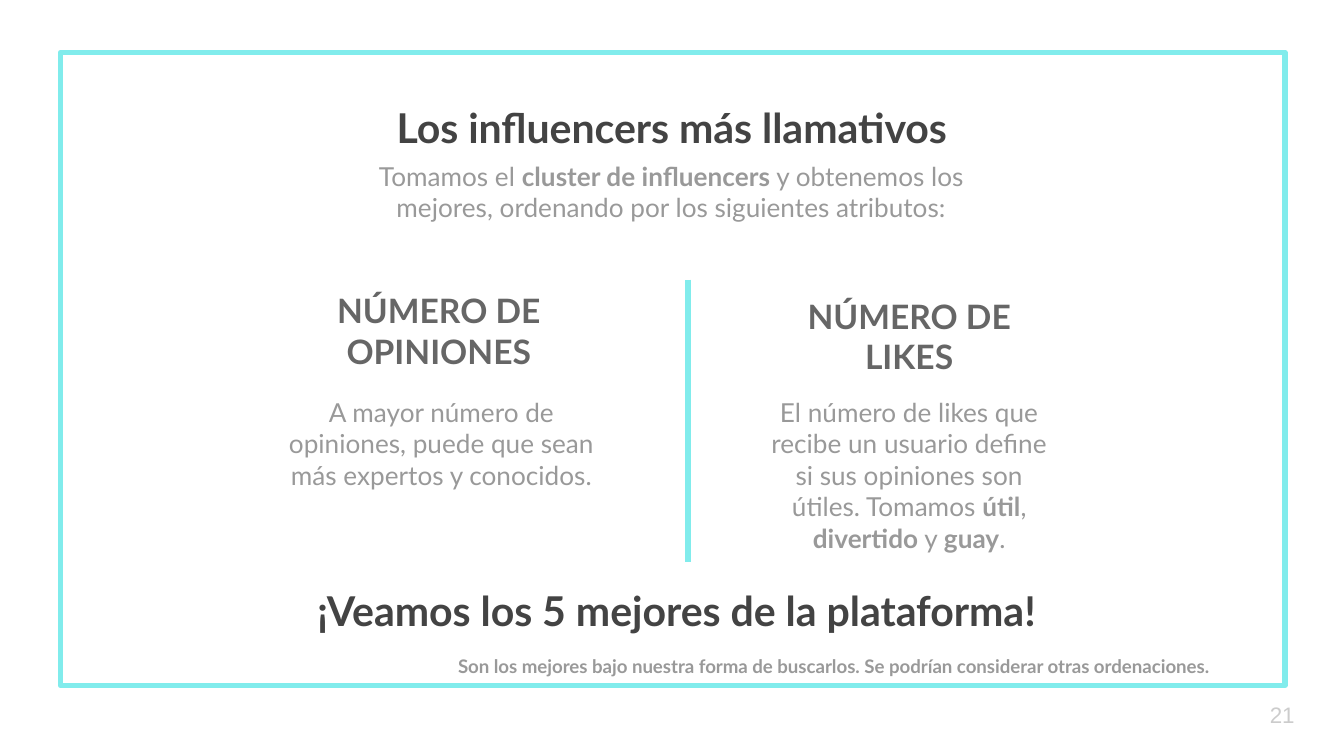
from dataclasses import dataclass

import pptx
import pptx.dml.color
import pptx.enum.shapes
import pptx.enum.text
import pptx.oxml.ns
import pptx.util
from lxml import etree
from pptx.util import Inches

ALIGN = pptx.enum.text.PP_ALIGN
ANCHOR = pptx.enum.text.MSO_ANCHOR


@dataclass(frozen=True)
class Style:
    size: int
    color: str
    bold: bool = False
    font: str = "Lato"


@dataclass(frozen=True)
class Theme:
    accent: str = "81ECEC"
    line_width: float = 3
    inset: float = 0.1
    title: Style = Style(22, "434343", True)
    heading: Style = Style(18, "666666", True)
    body: Style = Style(14, "999999")
    note: Style = Style(10, "999999", True)
    number: Style = Style(12, "CCCCCC", font="Arial")


@dataclass(frozen=True)
class Span:
    text: str
    bold: bool = False


@dataclass(frozen=True)
class TextBlock:
    left: float
    top: float
    width: float
    height: float
    style: Style
    spans: tuple[Span, ...]
    align: ALIGN = ALIGN.CENTER
    anchor: ANCHOR = ANCHOR.TOP
    line_spacing: float = 1.0


THEME = Theme()

BLOCKS = (
    TextBlock(1.22, 0.66, 7.56, 0.53, THEME.title,
              (Span("Los influencers más llamativos"),)),
    TextBlock(2.34, 1.09, 5.31, 0.71, THEME.body,
              (Span("Tomamos el "), Span("cluster de influencers", True),
               Span(" y obtenemos los mejores, ordenando por los siguientes atributos:"))),
    TextBlock(2.11, 2.15, 2.31, 0.71, THEME.heading,
              (Span("NÚMERO DE OPINIONES"),), anchor=ANCHOR.BOTTOM),
    TextBlock(2.01, 2.85, 2.55, 1.62, THEME.body,
              (Span("A mayor número de opiniones, puede que sean más expertos y conocidos."),)),
    TextBlock(5.61, 2.19, 2.31, 0.71, THEME.heading,
              (Span("NÚMERO DE LIKES"),), anchor=ANCHOR.BOTTOM),
    TextBlock(5.61, 2.85, 2.31, 1.22, THEME.body,
              (Span("El número de likes que recibe un usuario define si sus opiniones "
                    "son útiles. Tomamos "),
               Span("útil", True), Span(", "), Span("divertido", True),
               Span(" y "), Span("guay", True), Span("."))),
    TextBlock(0.72, 4.24, 8.63, 0.58, THEME.title,
              (Span("¡Veamos los 5 mejores de la plataforma!"),),
              anchor=ANCHOR.BOTTOM, line_spacing=1.15),
    TextBlock(3.31, 4.79, 6.64, 0.43, THEME.note,
              (Span("Son los mejores bajo nuestra forma de buscarlos. "
                    "Se podrían considerar otras ordenaciones."),), ALIGN.LEFT),
    TextBlock(9.35, 5.1, 0.6, 0.43, THEME.number, (Span("21"),),
              ALIGN.LEFT, ANCHOR.MIDDLE),
)


def rgb(value: str) -> pptx.dml.color.RGBColor:
    return pptx.dml.color.RGBColor.from_string(value)


def style_line(line) -> None:
    line.color.rgb = rgb(THEME.accent)
    line.width = pptx.util.Pt(THEME.line_width)


def add_frame(page) -> None:
    frame = page.shapes.add_shape(
        pptx.enum.shapes.MSO_SHAPE.RECTANGLE,
        Inches(0.45), Inches(0.39), Inches(9.11), Inches(4.71))
    frame.shadow.inherit = False
    frame.fill.background()
    style_line(frame.line)


def add_divider(page) -> None:
    divider = page.shapes.add_connector(
        pptx.enum.shapes.MSO_CONNECTOR.STRAIGHT,
        Inches(5.12), Inches(2.08), Inches(5.12), Inches(4.18))
    style_line(divider.line)
    etree.SubElement(divider._element.spPr, pptx.oxml.ns.qn("a:effectLst"))


def add_text(page, block: TextBlock) -> None:
    box = page.shapes.add_textbox(Inches(block.left), Inches(block.top),
                                  Inches(block.width), Inches(block.height))
    frame = box.text_frame
    frame.word_wrap = True
    frame.vertical_anchor = block.anchor
    frame.margin_left = frame.margin_right = Inches(THEME.inset)
    frame.margin_top = frame.margin_bottom = Inches(THEME.inset)
    para = frame.paragraphs[0]
    para.alignment = block.align
    para.line_spacing = block.line_spacing
    for span in block.spans:
        run = para.add_run()
        run.text = span.text
        run.font.name = block.style.font
        run.font.size = pptx.util.Pt(block.style.size)
        run.font.bold = block.style.bold or span.bold
        run.font.color.rgb = rgb(block.style.color)


def main() -> None:
    deck = pptx.Presentation()
    deck.slide_width = Inches(10)
    deck.slide_height = Inches(10 * 9 / 16)
    page = deck.slides.add_slide(deck.slide_layouts[6])
    add_frame(page)
    add_divider(page)
    for block in BLOCKS:
        add_text(page, block)
    deck.save("out.pptx")


if __name__ == "__main__":
    main()
